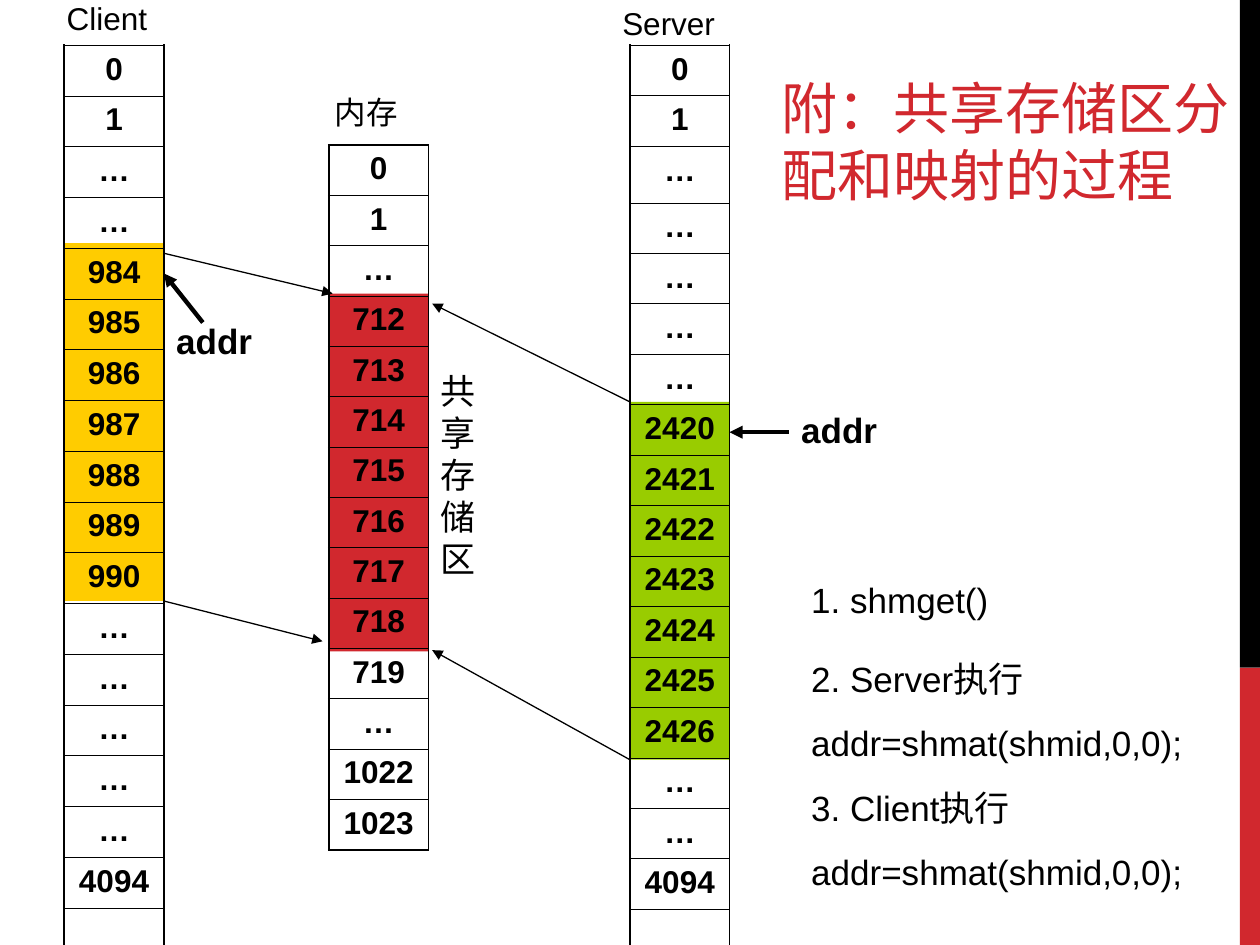
from lxml.etree import SubElement
from pptx import Presentation
from pptx.dml.color import RGBColor
from pptx.enum.shapes import MSO_CONNECTOR, MSO_SHAPE
from pptx.enum.text import MSO_ANCHOR, PP_ALIGN
from pptx.oxml.ns import qn
from pptx.util import Inches, Pt

BLACK, RED, YELLOW, GREEN = "000000", "D1282E", "FFCC00", "99CC00"
COLUMN_WIDTH = 0.79
BLOCK_HEIGHT = 2.84
DOTS = "…"


def color(value):
    """Return the colour for a hex string."""
    return RGBColor.from_string(value)


def write(frame, text, size=20, bold=False, fill=BLACK, font="Arial", align=PP_ALIGN.LEFT, before=0):
    """Fill a text frame with one paragraph for each line of text."""
    for index, line in enumerate(text.split("\n")):
        para = frame.add_paragraph() if index else frame.paragraphs[0]
        para.alignment = align
        para.space_before = Pt(before)
        span = para.add_run()
        span.text = line
        span.font.size = Pt(size)
        span.font.bold = bold
        span.font.name = font
        span.font.color.rgb = color(fill)


def add_label(page, box, text, anchor=MSO_ANCHOR.TOP, **style):
    """Place a wrapped text box."""
    frame = page.shapes.add_textbox(*map(Inches, box)).text_frame
    frame.word_wrap = True
    frame.vertical_anchor = anchor
    write(frame, text, **style)


def add_block(page, box, fill):
    """Place a plain filled rectangle."""
    block = page.shapes.add_shape(MSO_SHAPE.RECTANGLE, *map(Inches, box))
    block.shadow.inherit = False
    block.fill.solid()
    block.fill.fore_color.rgb = color(fill)
    block.line.fill.background()


def add_arrow(page, start, end, width=0.75):
    """Draw a straight black arrow from start to end."""
    arrow = page.shapes.add_connector(MSO_CONNECTOR.STRAIGHT, *map(Inches, start + end))
    arrow.line.color.rgb = color(BLACK)
    arrow.line.width = Pt(width)
    SubElement(arrow.line._get_or_add_ln(), qn("a:tailEnd"), type="triangle")
    SubElement(arrow._element.spPr, qn("a:effectLst"))


def set_borders(cell, **widths):
    """Draw black cell borders, with a width in points for each side."""
    properties = cell._tc.get_or_add_tcPr()
    for side, width in widths.items():
        line = SubElement(properties, qn(f"a:ln{side}"), w=str(Pt(width)))
        fill = SubElement(line, qn("a:solidFill"))
        SubElement(fill, qn("a:srgbClr"), val=BLACK)


def add_memory_column(page, box, entries, tall_rows=()):
    """Place a one-column table of memory addresses."""
    table = page.shapes.add_table(len(entries), 1, *map(Inches, box)).table
    table.first_row = table.horz_banding = False
    tall = 0.45
    row_height = (box[3] - tall * len(tall_rows)) / (len(entries) - len(tall_rows))
    last = len(entries) - 1
    for index, entry in enumerate(entries):
        table.rows[index].height = Inches(tall if index in tall_rows else row_height)
        cell = table.cell(index, 0)
        set_borders(cell, L=1.08, R=1.08, T=0.45 if index else 1.08, B=1.08 if index == last else 0.45)
        cell.fill.background()
        write(cell.text_frame, entry, size=18, bold=True, align=PP_ALIGN.CENTER)


def number_range(first, last):
    """Return consecutive addresses as text."""
    return [str(number) for number in range(first, last + 1)]


def add_side_bar(page, box):
    """Place the black and red bar along the page edge."""
    left, top, width, height = box
    split = 5.3
    add_block(page, (left, top, width, split), BLACK)
    add_block(page, (left, top + split, width, height - split), RED)


def add_memory_map(page, box):
    """Place the three memory columns with their shared blocks and headings."""
    left, top = box[:2]
    client, memory, server = left, left + 2.1, left + 4.49
    for column, offset, fill in ((client, 1.57, YELLOW), (server, 2.83, GREEN), (memory, 1.97, RED)):
        add_block(page, (column, top + offset, COLUMN_WIDTH, BLOCK_HEIGHT), fill)
    start = ["0", "1"]
    add_memory_column(page, (client, top, COLUMN_WIDTH, 7.25),
                      start + [DOTS] * 2 + number_range(984, 990) + [DOTS] * 5 + ["4094", ""])
    add_memory_column(page, (server, top, COLUMN_WIDTH, 7.26),
                      start + [DOTS] * 5 + number_range(2420, 2426) + [DOTS] * 2 + ["4094", ""],
                      tall_rows=(2,))
    add_memory_column(page, (memory, top + 0.79, COLUMN_WIDTH, 5.6),
                      start + [DOTS] + number_range(712, 719) + [DOTS] + number_range(1022, 1023))
    add_label(page, (memory - 0.05, top + 0.33, 0.87, 0.4), "内存", size=18)
    add_label(page, (client - 0.08, top - 0.42, 1.02, 0.4), "Client", size=18)
    add_label(page, (server - 0.16, top - 0.38, 1.02, 0.4), "Server", size=18)
    add_label(page, (memory + COLUMN_WIDTH, top + 2.52, 0.47, 1.77), "共享存储区")


def add_mapping_arrows(page, box):
    """Draw the mapping arrows and the two address pointers."""
    left, top, width, _ = box
    client, server = left + COLUMN_WIDTH, left + width - COLUMN_WIDTH
    add_arrow(page, (server, top + 2.83), (3.43, top + 2.05))
    add_arrow(page, (server, top + 5.67), (3.43, top + 4.8))
    add_arrow(page, (client, top + 1.65), (2.64, top + 1.97))
    add_arrow(page, (client, top + 4.41), (2.56, top + 4.73))
    add_arrow(page, (6.26, top + 3.07), (left + width, top + 3.07), width=2.5)
    add_arrow(page, (1.61, top + 2.2), (client, top + 1.81), width=2.5)
    add_label(page, (6.26, top + 2.83, 0.95, 0.44), "addr", bold=True)
    add_label(page, (client, top + 2.13, 0.95, 0.44), "addr", bold=True)


def add_steps(page, box):
    """Place the numbered calls."""
    left, top, width, _ = box
    call = "addr=shmat(shmid,0,0);"
    add_label(page, (left, top, width, 0.44), "1. shmget()", before=12.5)
    add_label(page, (left, top + 0.63, width, 0.94), f"2. Server执行\n{call}", before=12.5)
    add_label(page, (left, top + 1.65, width, 0.94), f"3. Client执行\n{call}", before=12.5)


def main():
    """Build the slide and save it."""
    deck = Presentation()
    deck.slide_width, deck.slide_height = Inches(10), Inches(7.5)
    page = deck.slides.add_slide(deck.slide_layouts[6])
    map_box = (0.51, 0.36, 5.28, 7.26)
    add_side_bar(page, (9.84, 0, 0.16, 7.5))
    add_memory_map(page, map_box)
    add_steps(page, (6.34, 4.54, 3.7, 2.59))
    add_mapping_arrows(page, map_box)
    add_label(page, (6.1, 0.28, 3.78, 1.42), "附：共享存储区分配和映射的过程",
              anchor=MSO_ANCHOR.BOTTOM, size=32, fill=RED, font="Montserrat")
    deck.save("out.pptx")


if __name__ == "__main__":
    main()
